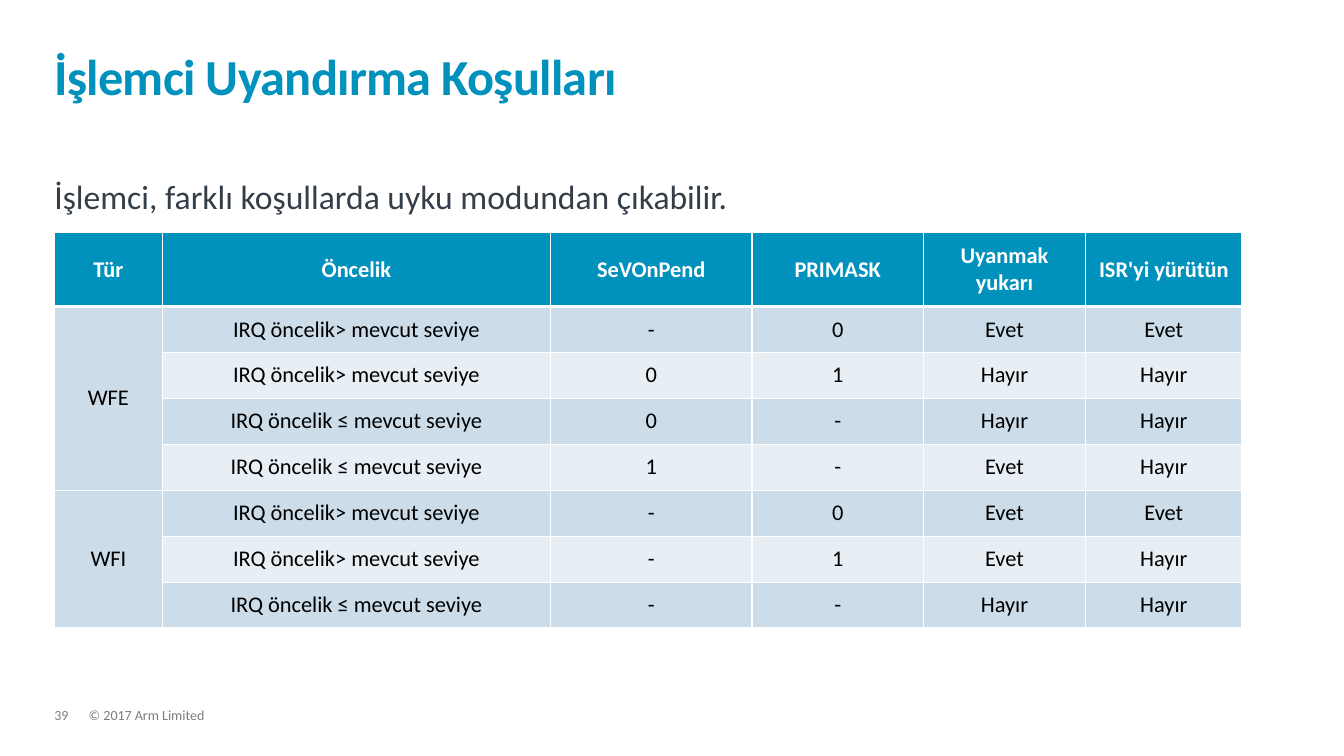
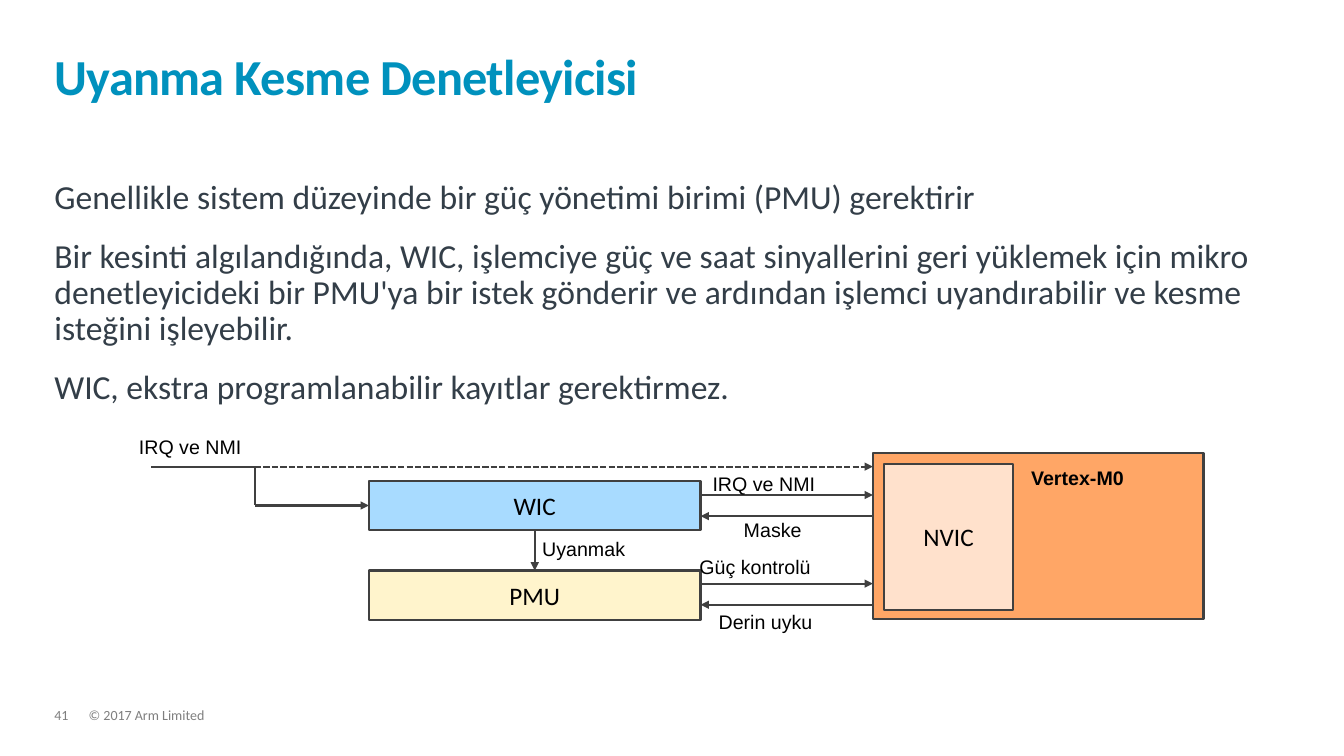
"""Build two slides on processor wake-up: a condition table and a wake-up interrupt controller diagram."""
from lxml.etree import SubElement
from pptx import Presentation
from pptx.dml.color import RGBColor
from pptx.enum.dml import MSO_LINE
from pptx.enum.shapes import MSO_CONNECTOR, MSO_SHAPE
from pptx.enum.text import MSO_ANCHOR as ANCHOR, MSO_AUTO_SIZE, PP_ALIGN as ALIGN
from pptx.oxml.ns import qn
from pptx.util import Inches, Pt

TEAL = RGBColor(0x00, 0x91, 0xBD)
SLATE = RGBColor(0x33, 0x3E, 0x48)
GREY = RGBColor(0x7F, 0x7F, 0x7F)
LINE = RGBColor(0x40, 0x40, 0x40)
BLACK = RGBColor(0x00, 0x00, 0x00)
WHITE = RGBColor(0xFF, 0xFF, 0xFF)
BAND_DARK = RGBColor(0xCC, 0xDC, 0xE8)
BAND_LIGHT = RGBColor(0xE7, 0xEE, 0xF4)
ORANGE = RGBColor(0xFF, 0xA6, 0x66)
PEACH = RGBColor(0xFF, 0xE1, 0xCC)
YELLOW = RGBColor(0xFF, 0xF4, 0xCC)
BLUE = RGBColor(0xA8, 0xDB, 0xFF)

deck = Presentation()
deck.slide_width, deck.slide_height = Inches(13.33), Inches(7.5)
COL, ROW = deck.slide_width / 100, deck.slide_height / 100
LEFT, WIDTH = 4.05, 91.73


def grid(*places):
    """Turn alternating column and row counts into lengths."""
    return [round(place * (ROW if i % 2 else COL)) for i, place in enumerate(places)]


def write(frame, lines, size, color, font="Calibri", bold=False, align=ALIGN.LEFT,
          anchor=ANCHOR.TOP, spacing=1.0, after=0, inset=None, wrap=True):
    """Fill a text frame with paragraphs of one style."""
    frame.word_wrap = wrap
    frame.vertical_anchor = anchor
    frame.auto_size = MSO_AUTO_SIZE.NONE
    if inset is not None:
        frame.margin_left = frame.margin_right = frame.margin_top = frame.margin_bottom = inset
    frame.text = "\n".join(lines)
    for paragraph in frame.paragraphs:
        paragraph.alignment = align
        paragraph.line_spacing = spacing
        paragraph.space_after = Pt(after)
        for run in paragraph.runs:
            run.font.name, run.font.size, run.font.bold = font, Pt(size), bold
            run.font.color.rgb = color


pages = [
    ("39", "İşlemci Uyandırma Koşulları", 6.93,
     ["İşlemci, farklı koşullarda uyku modundan çıkabilir."]),
    ("41", "Uyanma Kesme Denetleyicisi", 59.6,
     ["Genellikle sistem düzeyinde bir güç yönetimi birimi (PMU) gerektirir",
      "Bir kesinti algılandığında, WIC, işlemciye güç ve saat sinyallerini geri yüklemek için "
      "mikro denetleyicideki bir PMU'ya bir istek gönderir ve ardından işlemci uyandırabilir "
      "ve kesme isteğini işleyebilir.",
      "WIC, ekstra programlanabilir kayıtlar gerektirmez."]),
]
slides = []
for number, heading, body_rows, body_lines in pages:
    slide = deck.slides.add_slide(deck.slide_layouts[5])
    slides.append(slide)
    title = slide.shapes.title
    title.left, title.top, title.width, title.height = grid(LEFT, 4.27, WIDTH, 9.73)
    write(title.text_frame, [heading], 36, TEAL, bold=True, anchor=ANCHOR.BOTTOM,
          spacing=0.85, inset=0)
    title.text_frame.paragraphs[0].runs[0].font._element.set("spc", "-50")
    body = slide.shapes.add_textbox(*grid(LEFT, 23.87, WIDTH, body_rows))
    write(body.text_frame, body_lines, 24, SLATE, spacing=0.9, after=16, inset=0)
    for left, width, words in [(6.6, 68.48, "© 2017 Arm Limited"), (LEFT, 2.55, number)]:
        footer = slide.shapes.add_textbox(*grid(left, 93.73, width, 2))
        write(footer.text_frame, [words], 10, GREY, spacing=0.9, after=6, inset=0)

conditions, controller = slides

HIGHER, NOT_HIGHER = "IRQ öncelik> mevcut seviye", "IRQ öncelik ≤ mevcut seviye"
wake_rows = [
    ["Tür", "Öncelik", "SeVOnPend", "PRIMASK", "Uyanmak yukarı", "ISR'yi yürütün"],
    ["WFE", HIGHER, "-", "0", "Evet", "Evet"],
    ["", HIGHER, "0", "1", "Hayır", "Hayır"],
    ["", NOT_HIGHER, "0", "-", "Hayır", "Hayır"],
    ["", NOT_HIGHER, "1", "-", "Evet", "Hayır"],
    ["WFI", HIGHER, "-", "0", "Evet", "Evet"],
    ["", HIGHER, "-", "1", "Evet", "Hayır"],
    ["", NOT_HIGHER, "-", "-", "Hayır", "Hayır"],
]
wake_columns = [8.03, 28.88, 15, 12.75, 12.08, 11.63]
HEADER_ROWS, DATA_ROWS = 9.73, 6.08
wake_table = conditions.shapes.add_table(
    len(wake_rows), len(wake_columns),
    *grid(LEFT, 30.8, sum(wake_columns), HEADER_ROWS + 7 * DATA_ROWS)).table
for column, width in zip(wake_table.columns, wake_columns):
    column.width = round(width * COL)
for r, texts in enumerate(wake_rows):
    header = r == 0
    wake_table.rows[r].height = round((HEADER_ROWS if header else DATA_ROWS) * ROW)
    for c, words in enumerate(texts):
        cell = wake_table.cell(r, c)
        properties = cell._tc.get_or_add_tcPr()
        for side in ("L", "R", "T", "B") if header else ("L", "R", "B"):
            weight = Pt(3 if header and side == "B" else 1)
            border = SubElement(properties, qn(f"a:ln{side}"), w=str(weight))
            SubElement(SubElement(border, qn("a:solidFill")), qn("a:srgbClr"), val=str(WHITE))
        cell.fill.solid()
        cell.fill.fore_color.rgb = (TEAL if header else
                                    BAND_DARK if c == 0 or r % 2 else BAND_LIGHT)
        cell.margin_left = cell.margin_right = round(0.98 * COL)
        cell.vertical_anchor = ANCHOR.MIDDLE
        cell.text_frame.text = words
        for paragraph in cell.text_frame.paragraphs:
            paragraph.alignment = ALIGN.CENTER
            for run in paragraph.runs:
                run.font.name, run.font.size, run.font.bold = "Calibri", Pt(16), header
                run.font.color.rgb = WHITE if header else BLACK
for first, last in [(1, 4), (5, 7)]:
    wake_table.cell(first, 0).merge(wake_table.cell(last, 0))

UNIT_LEFT, UNIT_WIDTH, UNIT_ROWS = 27.45, 24.68, 6.53
UNIT_RIGHT, CORE_LEFT = UNIT_LEFT + UNIT_WIDTH, 64.95
WIC_TOP, PMU_TOP = 63.6, 75.47
blocks = {}
for name, place, color in [
    ("", (CORE_LEFT, 59.87, 24.6, 22), ORANGE),
    ("PMU", (UNIT_LEFT, PMU_TOP, UNIT_WIDTH, UNIT_ROWS), YELLOW),
    ("WIC", (UNIT_LEFT, WIC_TOP, UNIT_WIDTH, UNIT_ROWS), BLUE),
    ("NVIC", (65.78, 61.33, 9.6, 19.33), PEACH),
]:
    block = blocks[name] = controller.shapes.add_shape(MSO_SHAPE.RECTANGLE, *grid(*place))
    block.shadow.inherit = False
    block.fill.solid()
    block.fill.fore_color.rgb = color
    block.line.color.rgb, block.line.width = LINE, Pt(1.5)
    if name:
        write(block.text_frame, [name], 18, BLACK, align=ALIGN.CENTER,
              anchor=ANCHOR.MIDDLE, wrap=False)

BRANCH, IRQ_ROW = 18.98, 61.73
WIC_MIDDLE = WIC_TOP + UNIT_ROWS / 2
UNIT_CENTRE = UNIT_LEFT + UNIT_WIDTH / 2
signals = [
    ((11.25, IRQ_ROW, BRANCH, IRQ_ROW), False, False, None, None),
    ((BRANCH, IRQ_ROW, CORE_LEFT, IRQ_ROW), True, True, None, None),
    ((BRANCH, IRQ_ROW, BRANCH, WIC_MIDDLE), False, False, None, None),
    ((BRANCH, WIC_MIDDLE, UNIT_LEFT, WIC_MIDDLE), True, False, None, ("WIC", 1)),
    ((UNIT_CENTRE, WIC_TOP + UNIT_ROWS, UNIT_CENTRE, PMU_TOP), True, False,
     ("WIC", 2), ("PMU", 0)),
]
for send_row, return_row in [(65.47, 68.27), (77.2, 80)]:
    signals.append(((UNIT_RIGHT, send_row, CORE_LEFT, send_row), True, False, None, None))
    signals.append(((CORE_LEFT, return_row, UNIT_RIGHT, return_row), True, False, None, None))
for ends, arrow, dashed, start, finish in signals:
    signal = controller.shapes.add_connector(MSO_CONNECTOR.STRAIGHT, *grid(*ends))
    signal.line.color.rgb, signal.line.width = LINE, Pt(1.5)
    if dashed:
        signal.line.dash_style = MSO_LINE.SQUARE_DOT
    if start:
        signal.begin_connect(blocks[start[0]], start[1])
    if finish:
        signal.end_connect(blocks[finish[0]], finish[1])
    outline = signal._element.spPr
    if arrow:
        SubElement(outline.find(qn("a:ln")), qn("a:tailEnd"), type="triangle")
    SubElement(outline, qn("a:effectLst"))

for words, left, top, width, bold in [
    ("Vertex-M0", 75.98, 60.93, 13.58, True),
    ("IRQ ve NMI", 9.6, 56.93, 13.58, False),
    ("IRQ ve NMI", 52.28, 61.73, 13.58, False),
    ("Maske", 54.6, 67.87, 8.93, False),
    ("Uyanmak", 39.6, 70.4, 12.68, False),
    ("Güç kontrolü", 51.3, 72.8, 15.6, False),
    ("Derin uyku", 52.73, 80, 12.3, False),
]:
    label = controller.shapes.add_textbox(*grid(left, top, width, 4.53))
    write(label.text_frame, [words], 14, BLACK, font="Arial", bold=bold)

deck.save("out.pptx")
